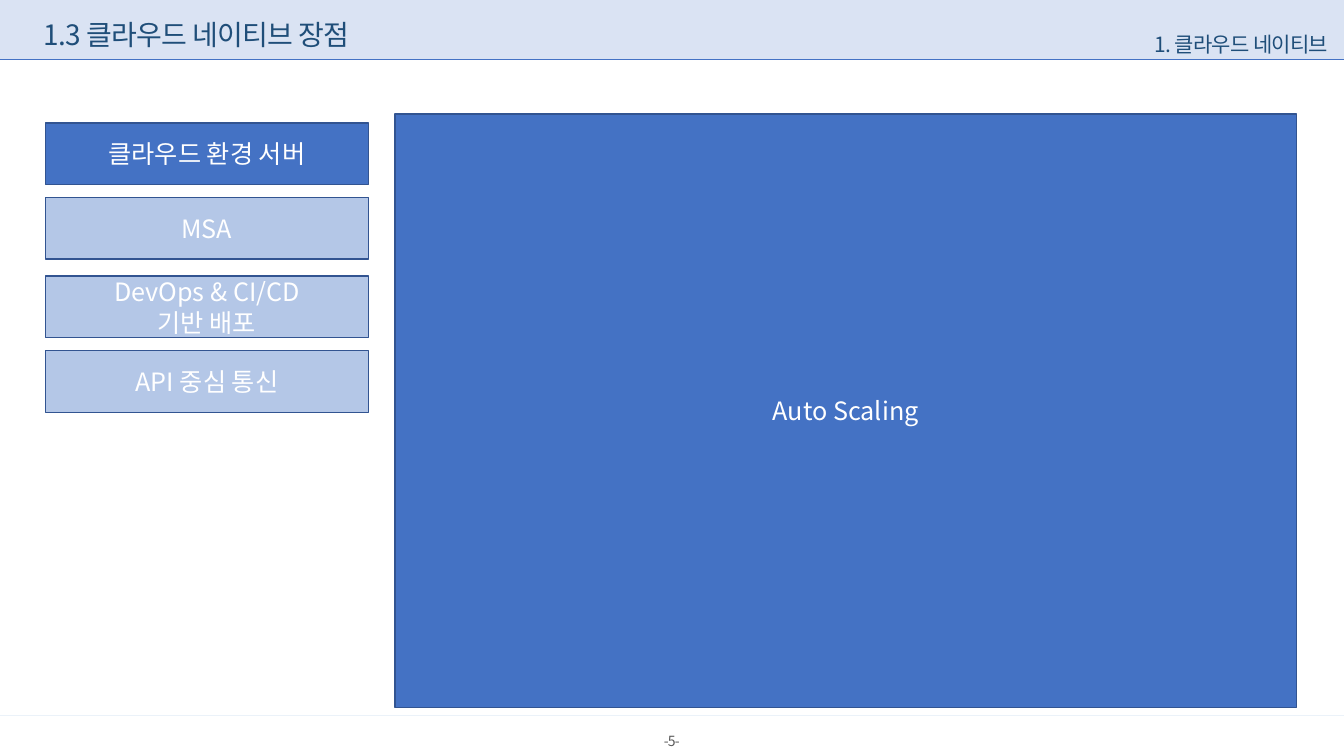
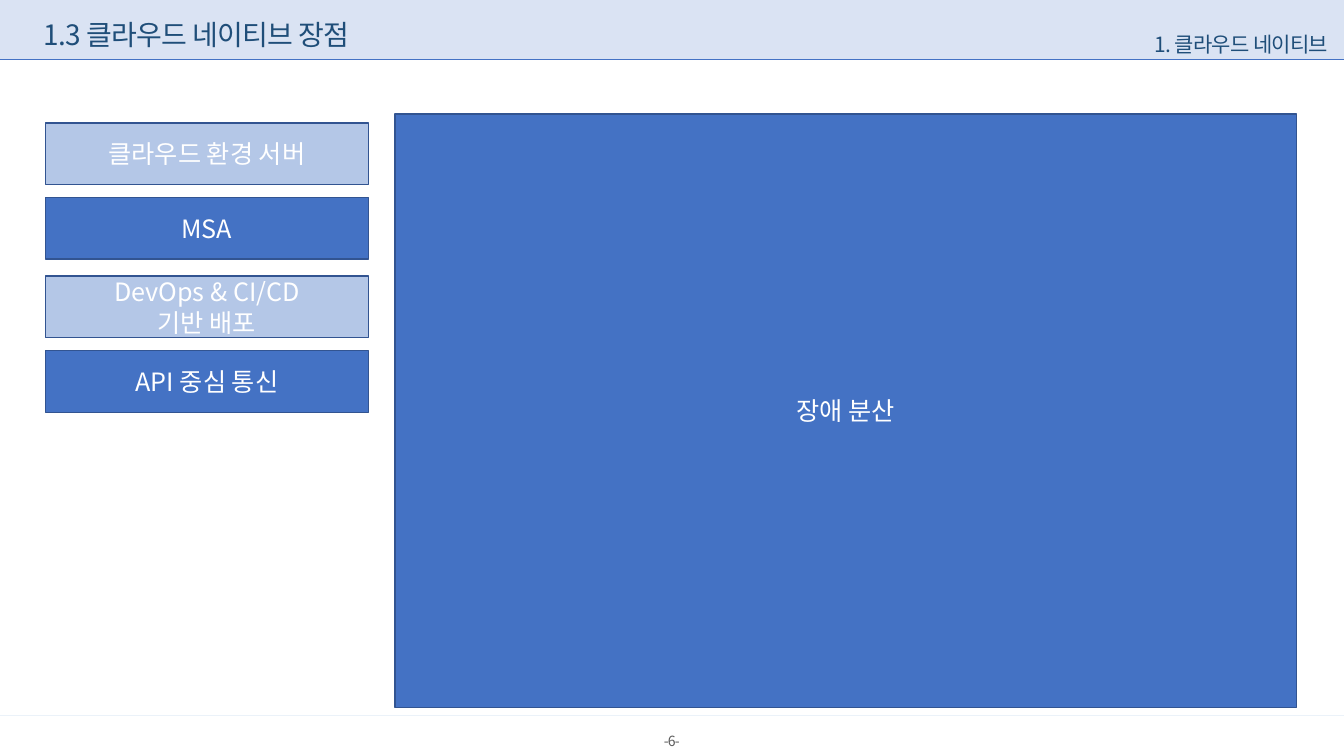
from lxml import etree
from pptx import Presentation
from pptx.dml.color import RGBColor
from pptx.enum.shapes import MSO_CONNECTOR, MSO_SHAPE
from pptx.enum.text import MSO_ANCHOR, MSO_AUTO_SIZE, PP_ALIGN
from pptx.oxml.ns import qn
from pptx.util import Cm, Pt

LEFT, CENTER, RIGHT = PP_ALIGN.LEFT, PP_ALIGN.CENTER, PP_ALIGN.RIGHT
RECTANGLE, STRAIGHT = MSO_SHAPE.RECTANGLE, MSO_CONNECTOR.STRAIGHT

WHITE = RGBColor(0xFF, 0xFF, 0xFF)
BLUE = RGBColor(0x44, 0x72, 0xC4)
PALE_BLUE = RGBColor(0xB4, 0xC7, 0xE7)
EDGE_BLUE = RGBColor(0x32, 0x54, 0x91)
BAND_BLUE = RGBColor(0xDA, 0xE3, 0xF3)
NAVY = RGBColor(0x1F, 0x4E, 0x79)
FOOTER_RULE = RGBColor(0xEB, 0xF2, 0xF9)
GRAY = RGBColor(0x59, 0x59, 0x59)

FONT = "Noto Sans CJK KR"
PAGE_WIDTH, PAGE_HEIGHT = 33.87, 19.05
HEADER_HEIGHT, FOOTER_TOP = 1.5, 18.03

# Text styles: size, colour, alignment, line spacing, letter spacing
TITLE_STYLE = (20, NAVY, LEFT, 0.9, -50)
SECTION_STYLE = (15, NAVY, RIGHT, 0.9, -50)
NUMBER_STYLE = (10, GRAY, CENTER, 0.9, -50)
LABEL_STYLE = (18, WHITE, CENTER, 1.0, 0)

# Boxes: left, top, width, height in centimetres
TITLE_BOX = (0.84, 0.38, 10.24, 1.09)
SECTION_BOX = (24.26, 0.76, 9.47, 0.76)
NUMBER_BOX = (15.85, 18.39, 2.16, 0.61)
MENU_BOX = (1.14, 3.1, 8.15, 7.29)
PANEL_BOX = (9.96, 2.87, 22.71, 14.96)

# Menu rows come in pairs
ROW_HEIGHT, ROW_STEP, PAIR_STEP = 1.55, 1.88, 3.86

TITLE = "1.3 클라우드 네이티브 장점"
SECTION = "1. 클라우드 네이티브"
MENU = ["클라우드 환경 서버", "MSA", "DevOps & CI/CD\n기반 배포", "API 중심 통신"]
# Page number, highlighted menu rows, panel text
PAGES = [(5, {0}, "Auto Scaling"), (6, {1, 3}, "장애 분산")]


def write(shape, text, style):
    """Fill a shape with one styled paragraph per line."""
    size, color, align, line_spacing, letter_spacing = style
    frame = shape.text_frame
    frame.word_wrap = True
    frame.auto_size = MSO_AUTO_SIZE.NONE
    frame.vertical_anchor = MSO_ANCHOR.MIDDLE
    para_format = {"alignment": align, "line_spacing": line_spacing,
                   "space_before": Pt(0)}
    font_format = {"size": Pt(size), "name": FONT}
    for index, line in enumerate(text.split("\n")):
        para = frame.add_paragraph() if index else frame.paragraphs[0]
        for name, value in para_format.items():
            setattr(para, name, value)
        span = para.add_run()
        span.text = line
        for name, value in font_format.items():
            setattr(span.font, name, value)
        span.font.color.rgb = color
        run_properties = span._r.get_or_add_rPr()
        run_properties.set("spc", str(letter_spacing))
        etree.SubElement(run_properties, qn("a:ea"), typeface=FONT)


def add_block(page, box, fill, edge=None):
    block = page.shapes.add_shape(RECTANGLE, *map(Cm, box))
    block.shadow.inherit = False
    block.fill.solid()
    block.fill.fore_color.rgb = fill
    if edge is None:
        block.line.fill.background()
    else:
        block.line.color.rgb = edge
        block.line.width = Pt(1)
    return block


def add_rule(page, top, color):
    rule = page.shapes.add_connector(STRAIGHT, 0, Cm(top), Cm(PAGE_WIDTH), Cm(top))
    rule.line.color.rgb = color
    rule.line.width = Pt(0.5)
    etree.SubElement(rule.element.spPr, qn("a:effectLst"))
    return rule


def share_bands(page):
    """Draw the header band and rules, then hand them to the page's layout."""
    parts = [
        add_block(page, (0, 0, PAGE_WIDTH, HEADER_HEIGHT), BAND_BLUE),
        add_rule(page, FOOTER_TOP, FOOTER_RULE),
        add_rule(page, HEADER_HEIGHT, BLUE),
    ]
    for part in parts:
        page.slide_layout.shapes.element.append(part.element)


def place(shape, box):
    for name, value in zip(("left", "top", "width", "height"), box):
        setattr(shape, name, Cm(value))


def fill_header(page):
    title, section = page.shapes.title, page.placeholders[1]
    place(title, TITLE_BOX)
    write(title, TITLE, TITLE_STYLE)
    place(section, SECTION_BOX)
    # The section name is a plain line without a bullet
    para_properties = section.text_frame.paragraphs[0]._p.get_or_add_pPr()
    para_properties.set("marL", "0")
    para_properties.set("indent", "0")
    etree.SubElement(para_properties, qn("a:buNone"))
    write(section, SECTION, SECTION_STYLE)


def add_page_number(page, number):
    box = page.shapes.add_textbox(*map(Cm, NUMBER_BOX))
    write(box, f"-{number}-", NUMBER_STYLE)


def add_menu(page, box, active_rows):
    left, top, width, _ = box
    for index, label in enumerate(MENU):
        pair, row = divmod(index, 2)
        row_top = top + pair * PAIR_STEP + row * ROW_STEP
        fill = BLUE if index in active_rows else PALE_BLUE
        button = add_block(page, (left, row_top, width, ROW_HEIGHT), fill, EDGE_BLUE)
        write(button, label, LABEL_STYLE)


def add_panel(page, box, text):
    write(add_block(page, box, BLUE, EDGE_BLUE), text, LABEL_STYLE)


def main():
    deck = Presentation()
    deck.slide_width, deck.slide_height = Cm(PAGE_WIDTH), Cm(PAGE_HEIGHT)
    layout = deck.slide_layouts[1]
    for index, (number, active_rows, panel_text) in enumerate(PAGES):
        page = deck.slides.add_slide(layout)
        if index == 0:
            share_bands(page)
        fill_header(page)
        add_page_number(page, number)
        add_menu(page, MENU_BOX, active_rows)
        add_panel(page, PANEL_BOX, panel_text)
    deck.save("out.pptx")


if __name__ == "__main__":
    main()
